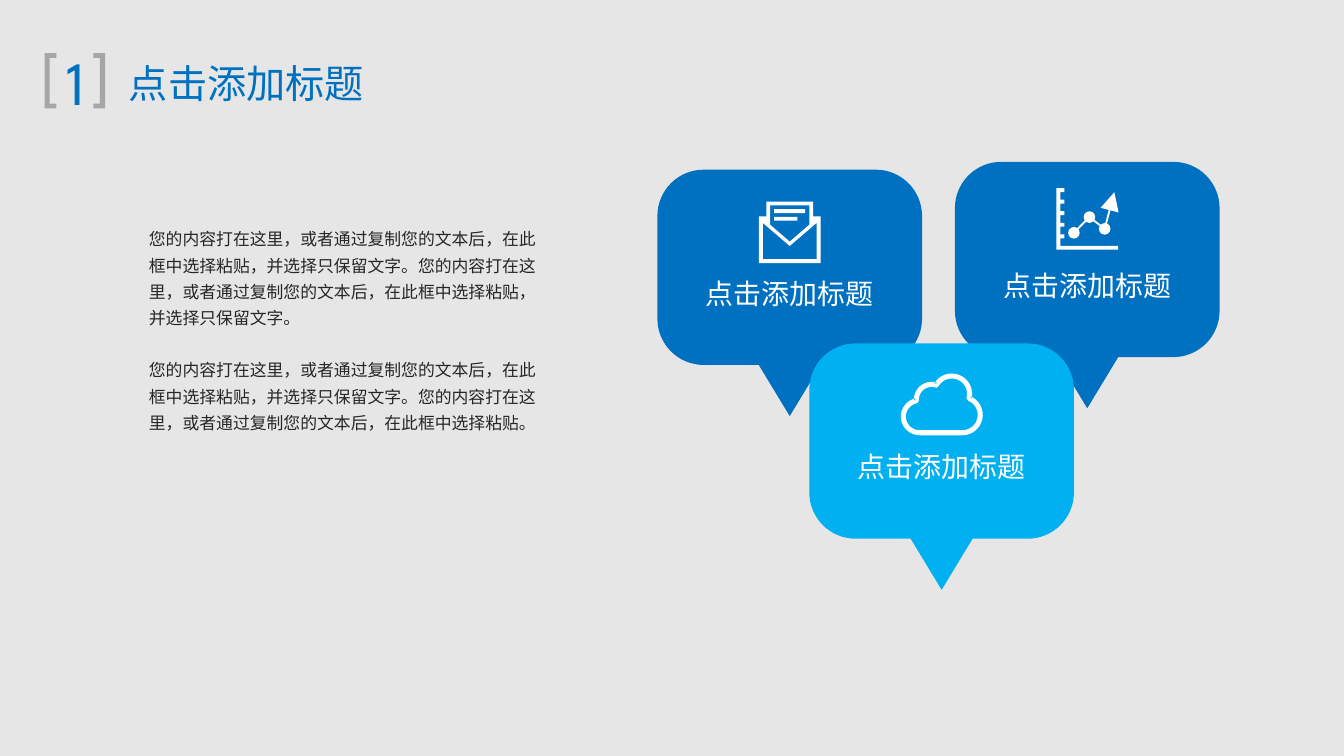
from math import cos, radians, sin

from pptx import Presentation
from pptx.dml.color import RGBColor
from pptx.enum.shapes import MSO_CONNECTOR as CONN, MSO_SHAPE as SHAPE
from pptx.enum.text import MSO_ANCHOR as ANCHOR, MSO_AUTO_SIZE as FIT, PP_ALIGN as ALIGN
from pptx.oxml.ns import qn
from pptx.util import Pt

BLUE, SKY, GRAY, WHITE, INK = "0070C0", "00B0F0", "A6A6A6", "FFFFFF", "262626"
CJK, HEAD = "Noto Sans CJK SC", "League Spartan"
LABEL = "点击添加标题"
BODY = [
    "您的内容打在这里，或者通过复制您的文本后，在此框中选择粘贴，并选择只保留文字。"
    "您的内容打在这里，或者通过复制您的文本后，在此框中选择粘贴，并选择只保留文字。",
    "您的内容打在这里，或者通过复制您的文本后，在此框中选择粘贴，并选择只保留文字。"
    "您的内容打在这里，或者通过复制您的文本后，在此框中选择粘贴。",
]


def rgb(value):
    return RGBColor.from_string(value)


def set_attrs(obj, values):
    for name, value in values.items():
        setattr(obj, name, value)


def add_text(p, text, size, font, color):
    r = p.add_run()
    r.text = text
    set_attrs(r.font, {"size": Pt(size), "name": font})
    r.font.color.rgb = rgb(color)
    ea = r.font._element.makeelement(qn("a:ea"), {"typeface": CJK})
    r.font._element.find(qn("a:latin")).addnext(ea)


def format_frame(tf, wrap, side=7.2, edge=3.6, anchor=ANCHOR.MIDDLE):
    set_attrs(tf, {
        "word_wrap": wrap, "auto_size": FIT.NONE, "vertical_anchor": anchor,
        "margin_left": Pt(side), "margin_right": Pt(side),
        "margin_top": Pt(edge), "margin_bottom": Pt(edge),
    })


def add_heading(sp, box, text, size):
    for name, value in zip(("left", "top", "width", "height"), box):
        setattr(sp, name, Pt(value))
    format_frame(sp.text_frame, False)
    p = sp.text_frame.paragraphs[0]
    p.alignment = ALIGN.CENTER
    add_text(p, text, size, HEAD, BLUE)


def paint(sp, color):
    sp.shadow.inherit = False
    sp.fill.solid()
    sp.fill.fore_color.rgb = rgb(color)
    sp.line.fill.background()


def add_outline(s, x, y, contours, color):
    contours = [[(Pt(a), Pt(b)) for a, b in contour] for contour in contours]
    builder = s.shapes.build_freeform(*contours[0][0])
    builder.add_line_segments(contours[0][1:])
    for contour in contours[1:]:
        builder.move_to(*contour[0])
        builder.add_line_segments(contour[1:])
    sp = builder.convert_to_shape(Pt(x), Pt(y))
    paint(sp, color)
    return sp


def arc(cx, cy, radius, start, end, steps=16):
    angles = [radians(start + (end - start) * i / steps) for i in range(steps + 1)]
    return [(cx + radius * cos(a), cy + radius * sin(a)) for a in angles]


def add_bracket(s, x, side):
    points = [(0, 0), (6.3, 0), (6.3, 2.5), (2.8, 2.5), (2.8, 27),
              (6.3, 27), (6.3, 29.5), (0, 29.5)]
    add_outline(s, x, 28.5, [[(side * a, b) for a, b in points]], GRAY)


def add_bubble(s, x, y, color):
    w, h, rad, tip, half = 141.8, 104.6, 24.8, 132, 16.6
    points = (arc(rad, rad, rad, 180, 270) + arc(w - rad, rad, rad, 270, 360)
              + arc(w - rad, h - rad, rad, 0, 90)
              + [(w / 2 + half, h), (w / 2, tip), (w / 2 - half, h)]
              + arc(rad, h - rad, rad, 90, 180))
    sp = add_outline(s, x, y, [points], color)
    format_frame(sp.text_frame, True, 5, 2.5)
    p = sp.text_frame.paragraphs[0]
    p.alignment = ALIGN.CENTER
    add_text(p, LABEL, 15, CJK, WHITE)


def add_envelope(s, x, y):
    add_outline(s, x, y, [
        [(0, 8), (4, 8), (4, 0), (29, 0), (29, 8), (33, 8), (33, 33), (0, 33)],
        [(6, 2.1), (27, 2.1), (27, 12.4), (16.5, 21.5), (6, 12.4)],
        [(2.1, 11.5), (16.5, 23.8), (30.9, 11.5), (30.9, 30.9), (2.1, 30.9)],
        [(8.2, 4.1), (24.7, 4.1), (24.7, 6.2), (8.2, 6.2)],
        [(8.2, 8.2), (20.6, 8.2), (20.6, 10.3), (8.2, 10.3)],
    ], WHITE)


def add_line(s, start, end, arrow=False):
    line = s.shapes.add_connector(CONN.STRAIGHT, *map(Pt, start + end))
    line.line.width = Pt(1)
    line.line.color.rgb = rgb(WHITE)
    props = line._element.spPr
    if arrow:
        ln = line.line._get_or_add_ln()
        ln.append(ln.makeelement(qn("a:tailEnd"), {"type": "triangle", "w": "lg", "len": "lg"}))
    props.append(props.makeelement(qn("a:effectLst"), {}))


def add_line_chart_icon(s, x, y):
    thick, tick, step = 2.1, 4.3, 6.2
    axes = [(33, 31), (33, 33), (0, 33), (0, 0)]
    for i in range(5):
        top = i * step
        axes += [(tick, top), (tick, top + thick),
                 (thick, top + thick), (thick, top + step)]
    add_outline(s, x, y, [axes], WHITE)
    dots = [(x + a, y + b) for a, b in [(9.3, 23.9), (17.6, 15.5), (25.8, 21.8)]]
    ends = dots + [(x + 31, y + 2.2)]
    for i, (start, end) in enumerate(zip(ends, ends[1:])):
        add_line(s, start, end, arrow=i == 2)
    for cx, cy in dots:
        dot = s.shapes.add_shape(SHAPE.OVAL, Pt(cx - 3.1), Pt(cy - 3.1), Pt(6.2), Pt(6.2))
        paint(dot, WHITE)


def add_cloud(s, x, y):
    lobes = [(10, 23, 7.3, 90, 260), (16.5, 13.9, 6.8, 175, 292),
             (27.3, 10.8, 8.2, 210, 376), (33, 22.1, 8.2, -68, 90)]
    contours = [[point for cx, cy, rad, start, end in lobes
                 for point in arc(cx, cy, rad + grow, start, end)]
                for grow in (2.7, 0)]
    add_outline(s, x, y, contours, WHITE)


def add_body(s):
    tf = s.shapes.add_textbox(Pt(72.7), Pt(115.9), Pt(223.9), Pt(134.6)).text_frame
    format_frame(tf, True, anchor=ANCHOR.TOP)
    for i, text in enumerate(BODY):
        p = tf.add_paragraph() if i else tf.paragraphs[0]
        set_attrs(p, {"line_spacing": Pt(14.05), "space_before": Pt(14.05 if i else 0)})
        add_text(p, text, 9, CJK, INK)


def main():
    prs = Presentation()
    set_attrs(prs, {"slide_width": Pt(720), "slide_height": Pt(405)})
    s = prs.slides.add_slide(prs.slide_layouts[5])
    s.background.fill.solid()
    s.background.fill.fore_color.rgb = rgb("E7E6E6")
    add_heading(s.shapes.title, (61.2, 28.1, 141.8, 32.4), LABEL, 21)
    number = s.shapes.add_textbox(0, 0, 0, 0)
    add_heading(number, (23.8, 20.2, 33.8, 46.1), "1", 33)
    add_bracket(s, 23.9, 1)
    add_bracket(s, 56.3, -1)
    for x, y, color in [(352.2, 90.9, BLUE), (511.6, 86.7, BLUE), (433.6, 184, SKY)]:
        add_bubble(s, x, y, color)
    add_line_chart_icon(s, 566, 100.8)
    add_cloud(s, 482.6, 200.2)
    add_envelope(s, 406.6, 108)
    add_body(s)
    prs.save("out.pptx")


if __name__ == "__main__":
    main()
